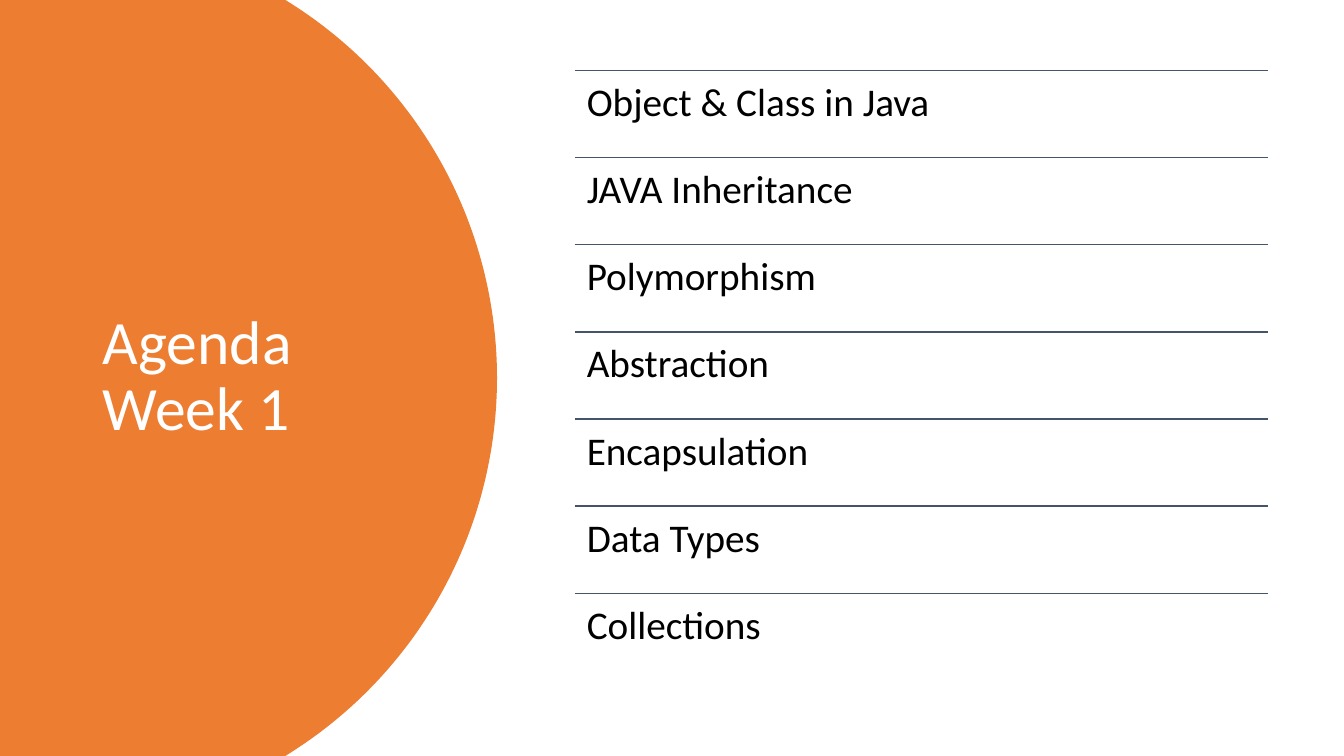
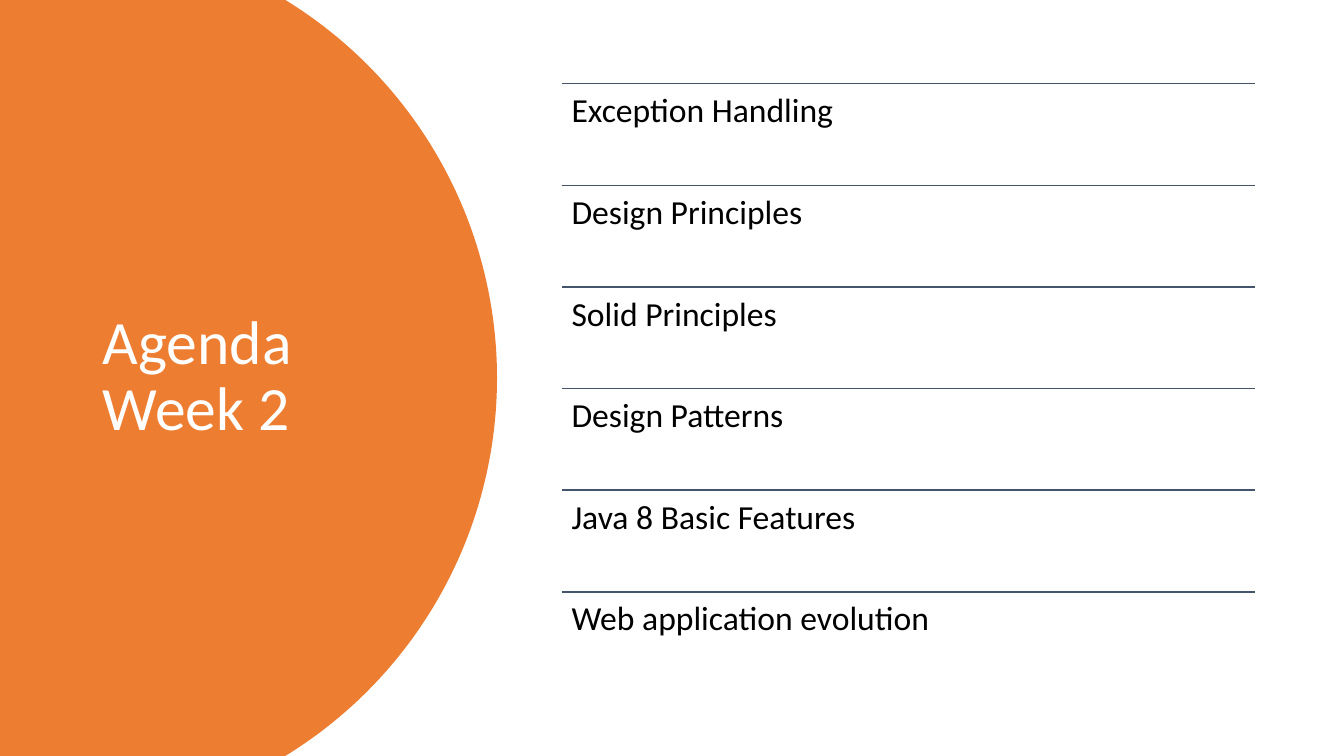
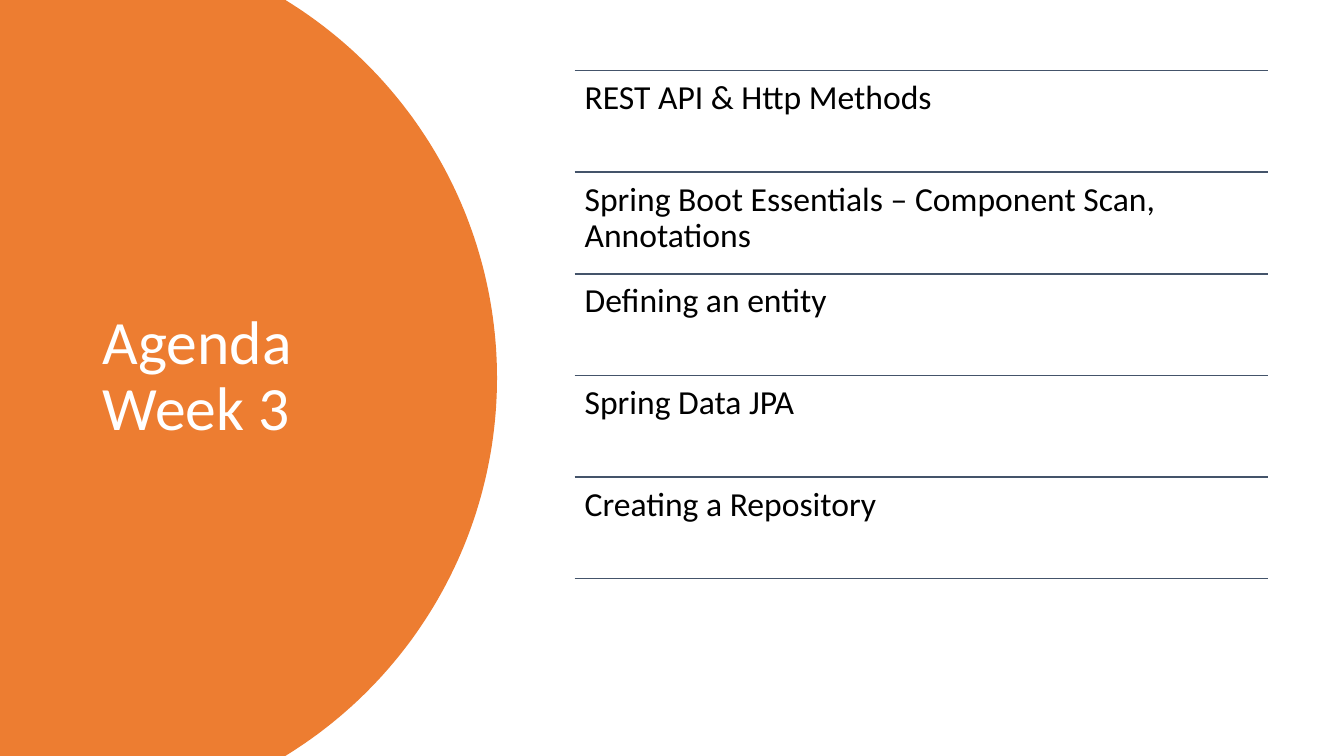
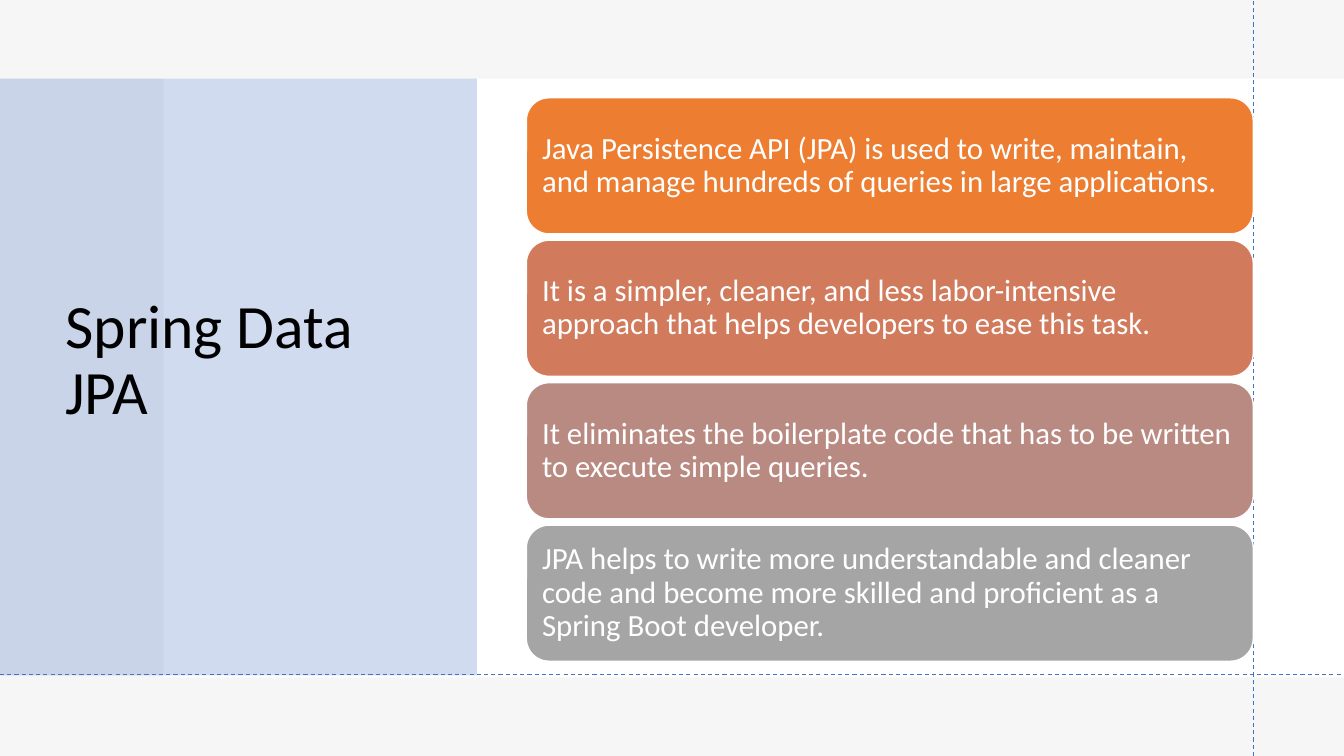
import math
from dataclasses import dataclass
from typing import Any

import pptx
import pptx.dml.color
import pptx.enum.dml
import pptx.enum.shapes
import pptx.enum.text
import pptx.oxml.ns
import pptx.util
from lxml import etree
from pptx.util import Inches

# Shared style
COLORS = {
    "orange": "ED7D31",
    "terracotta": "D17B5C",
    "rose": "B98A82",
    "gray": "A5A5A5",
    "light gray": "E7E6E6",
    "slate": "44546A",
    "blue": "4472C4",
    "white": "FFFFFF",
    "black": "000000",
}
FONT = "Calibri"
TITLE_SIZE = 44
LINE_SPACING = 0.9
SLIDE_WIDTH, SLIDE_HEIGHT = 13.33, 7.5
TOPIC_WIDTH, TOPICS_HEIGHT = 6.88, 6.05
TOP, MIDDLE = pptx.enum.text.MSO_ANCHOR.TOP, pptx.enum.text.MSO_ANCHOR.MIDDLE
SHAPES = pptx.enum.shapes.MSO_SHAPE


@dataclass
class Box:
    left: float
    top: float
    width: float
    height: float

    def lengths(self) -> list[int]:
        return [Inches(value) for value in (self.left, self.top, self.width, self.height)]


@dataclass
class Agenda:
    title: str
    left: float
    top: float
    size: int
    inset: float
    topics: list[str]  # an empty topic shows only its rule


@dataclass
class Panel:
    box: Box
    color: str
    opacity: int = 100


@dataclass
class Card:
    color: str
    text: str


@dataclass
class Guide:
    start: tuple[float, float]
    end: tuple[float, float]


AGENDAS = [
    Agenda("Agenda Week 1", 5.7, 0.7, 28, 0.12, [
        "Object & Class in Java",
        "JAVA Inheritance",
        "Polymorphism",
        "Abstraction",
        "Encapsulation",
        "Data Types",
        "Collections",
    ]),
    Agenda("Agenda Week 2", 5.57, 0.83, 24, 0.1, [
        "Exception Handling",
        "Design Principles",
        "Solid Principles",
        "Design Patterns",
        "Java 8 Basic Features",
        "Web application evolution",
    ]),
    Agenda("Agenda Week 3", 5.7, 0.7, 24, 0.1, [
        "REST API & Http Methods",
        "Spring Boot Essentials – Component Scan, Annotations",
        "Defining an entity",
        "Spring Data JPA",
        "Creating a Repository",
        "",
    ]),
]

PANELS = [
    Panel(Box(0, 0, SLIDE_WIDTH, SLIDE_HEIGHT), "light gray", 35),
    Panel(Box(1.62, 0.78, 11.72, 5.94), "white"),
    Panel(Box(0, 0.78, 4.73, 5.92), "blue", 25),
]
GUIDES = [
    Guide((12.43, SLIDE_HEIGHT), (12.43, 0)),
    Guide((0, 6.69), (SLIDE_WIDTH, 6.69)),
]
CARDS = [
    Card("orange", "Java Persistence API (JPA) is used to write, maintain, and manage "
                   "hundreds of queries in large applications."),
    Card("terracotta", "It is a simpler, cleaner, and less labor-intensive approach that "
                       "helps developers to ease this task."),
    Card("rose", "It eliminates the boilerplate code that has to be written to execute "
                 "simple queries."),
    Card("gray", "JPA helps to write more understandable and cleaner code and become more "
                 "skilled and proficient as a Spring Boot developer."),
]
CARD_STACK = Box(5.22, 0.97, 7.21, 5.59)
CARD_HEIGHT = 1.35


# Drawing helpers
def rgb(name: str) -> pptx.dml.color.RGBColor:
    return pptx.dml.color.RGBColor.from_string(COLORS[name])


def set_format(target: Any, values: dict[str, Any]) -> None:
    for name, value in values.items():
        setattr(target, name, value)


def fill_shape(shape: Any, color: str, opacity: int = 100) -> None:
    shape.shadow.inherit = False
    shape.fill.solid()
    shape.fill.fore_color.rgb = rgb(color)
    shape.line.fill.background()
    if opacity < 100:
        fill_color = shape.fill._xPr.find(".//" + pptx.oxml.ns.qn("a:srgbClr"))
        alpha = etree.SubElement(fill_color, pptx.oxml.ns.qn("a:alpha"))
        alpha.set("val", str(opacity * 1000))


def write_text(shape: Any, text: str, size: int, color: str, anchor: Any,
               insets: tuple[float, float] = (0.1, 0.05)) -> None:
    across, down = (Inches(inset) for inset in insets)
    frame = shape.text_frame
    set_format(frame, {
        "word_wrap": True,
        "vertical_anchor": anchor,
        "margin_left": across,
        "margin_right": across,
        "margin_top": down,
        "margin_bottom": down,
    })
    paragraph = frame.paragraphs[0]
    set_format(paragraph, {
        "alignment": pptx.enum.text.PP_ALIGN.LEFT,
        "line_spacing": LINE_SPACING,
    })
    run = paragraph.add_run()
    run.text = text
    set_format(run.font, {"name": FONT, "size": pptx.util.Pt(size)})
    run.font.color.rgb = rgb(color)


def add_text(slide: Any, box: Box, *arguments: Any) -> None:
    write_text(slide.shapes.add_textbox(*box.lengths()), *arguments)


def add_line(slide: Any, guide: Guide, color: str, width: float, dash: Any = None) -> None:
    ends = [Inches(value) for value in guide.start + guide.end]
    line = slide.shapes.add_connector(pptx.enum.shapes.MSO_CONNECTOR.STRAIGHT, *ends)
    line.line.color.rgb = rgb(color)
    set_format(line.line, {"width": pptx.util.Pt(width), "dash_style": dash})
    etree.SubElement(line._element.spPr, pptx.oxml.ns.qn("a:effectLst"))


def add_round_band(slide: Any) -> None:
    """Fill the left side up to a circular edge."""
    right, edge, steps = 4.93, 2.83, 120
    half, depth = SLIDE_HEIGHT / 2, right - edge
    radius = (half ** 2 + depth ** 2) / (2 * depth)
    reach = math.asin(half / radius)
    angles = [reach * (2 * step / steps - 1) for step in range(steps + 1)]
    arc = [(Inches(right - radius + radius * math.cos(angle)),
            Inches(half + radius * math.sin(angle))) for angle in angles]
    builder = slide.shapes.build_freeform(0, 0)
    builder.add_line_segments(arc + [(0, Inches(SLIDE_HEIGHT))], close=True)
    fill_shape(builder.convert_to_shape(), "orange")


# Slides
def add_agenda_slide(slide: Any, agenda: Agenda) -> None:
    add_round_band(slide)
    add_text(slide, Box(0.92, 0.7, 3.23, 6.09), agenda.title, TITLE_SIZE, "white", MIDDLE)
    pitch = TOPICS_HEIGHT / len(agenda.topics)
    for index, topic in enumerate(agenda.topics):
        top = agenda.top + index * pitch
        rule = Guide((agenda.left, top), (agenda.left + TOPIC_WIDTH, top))
        add_line(slide, rule, "slate", 1)
        if topic:
            add_text(slide, Box(agenda.left, top, TOPIC_WIDTH, pitch), topic, agenda.size,
                     "black", TOP, (agenda.inset, agenda.inset))


def add_cards_slide(slide: Any) -> None:
    for panel in PANELS:
        shape = slide.shapes.add_shape(SHAPES.RECTANGLE, *panel.box.lengths())
        fill_shape(shape, panel.color, panel.opacity)
    add_text(slide, Box(0.55, 0.74, 3.95, 5.69), "Spring Data JPA", TITLE_SIZE, "black", MIDDLE)
    for guide in GUIDES:
        add_line(slide, guide, "blue", 0.75, pptx.enum.dml.MSO_LINE.DASH)

    pitch = (CARD_STACK.height - CARD_HEIGHT) / (len(CARDS) - 1)
    for index, card in enumerate(CARDS):
        box = Box(CARD_STACK.left, CARD_STACK.top + index * pitch, CARD_STACK.width, CARD_HEIGHT)
        shape = slide.shapes.add_shape(SHAPES.ROUNDED_RECTANGLE, *box.lengths())
        fill_shape(shape, card.color)
        shape.line.color.rgb = rgb("white")
        shape.line.width = pptx.util.Pt(1)
        write_text(shape, card.text, 22, "white", MIDDLE, (0.09, 0.09))


def main() -> None:
    presentation = pptx.Presentation()
    presentation.slide_width = Inches(SLIDE_WIDTH)
    presentation.slide_height = Inches(SLIDE_HEIGHT)
    blank = presentation.slide_layouts[6]
    for agenda in AGENDAS:
        add_agenda_slide(presentation.slides.add_slide(blank), agenda)
    add_cards_slide(presentation.slides.add_slide(blank))
    presentation.save("out.pptx")


if __name__ == "__main__":
    main()
